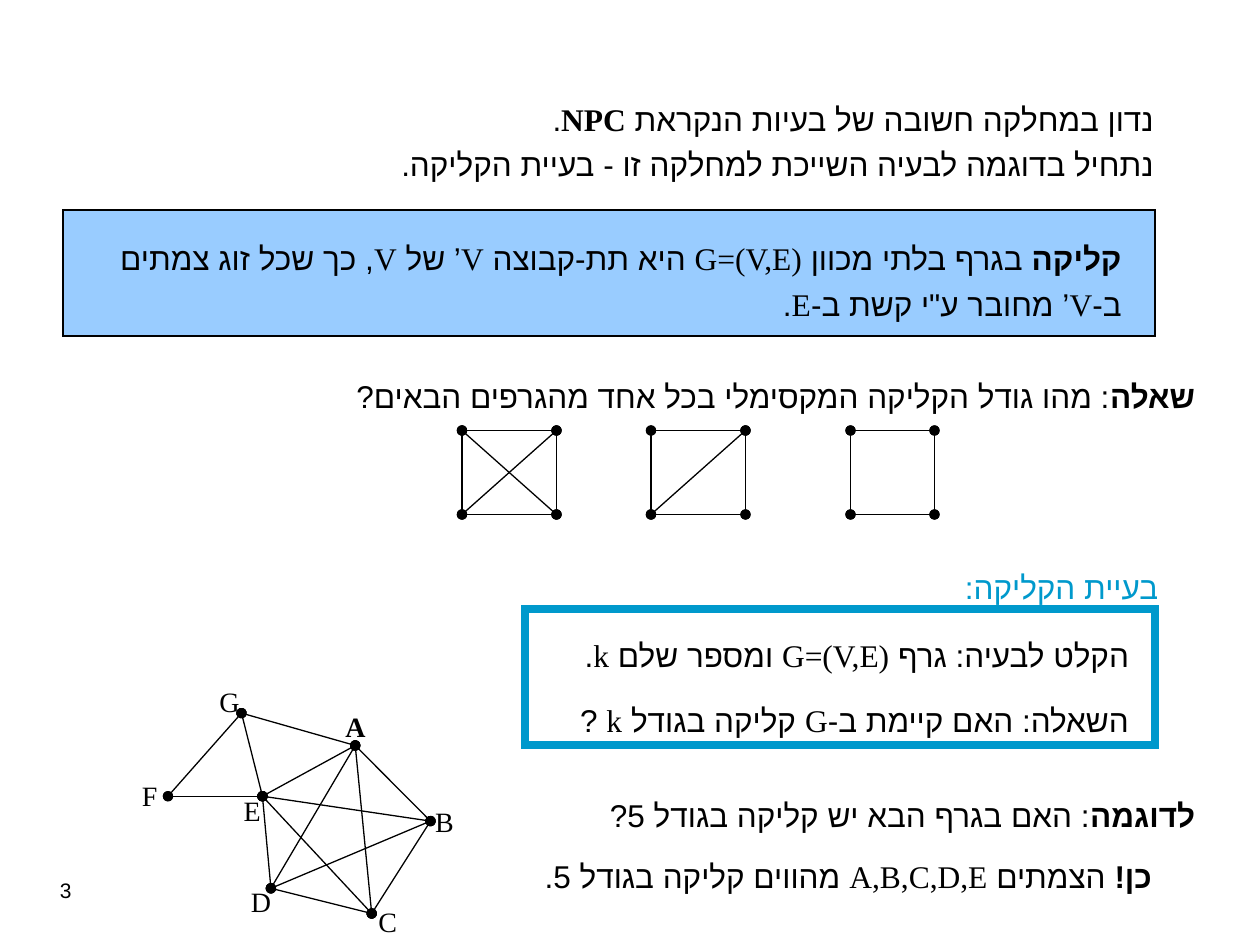
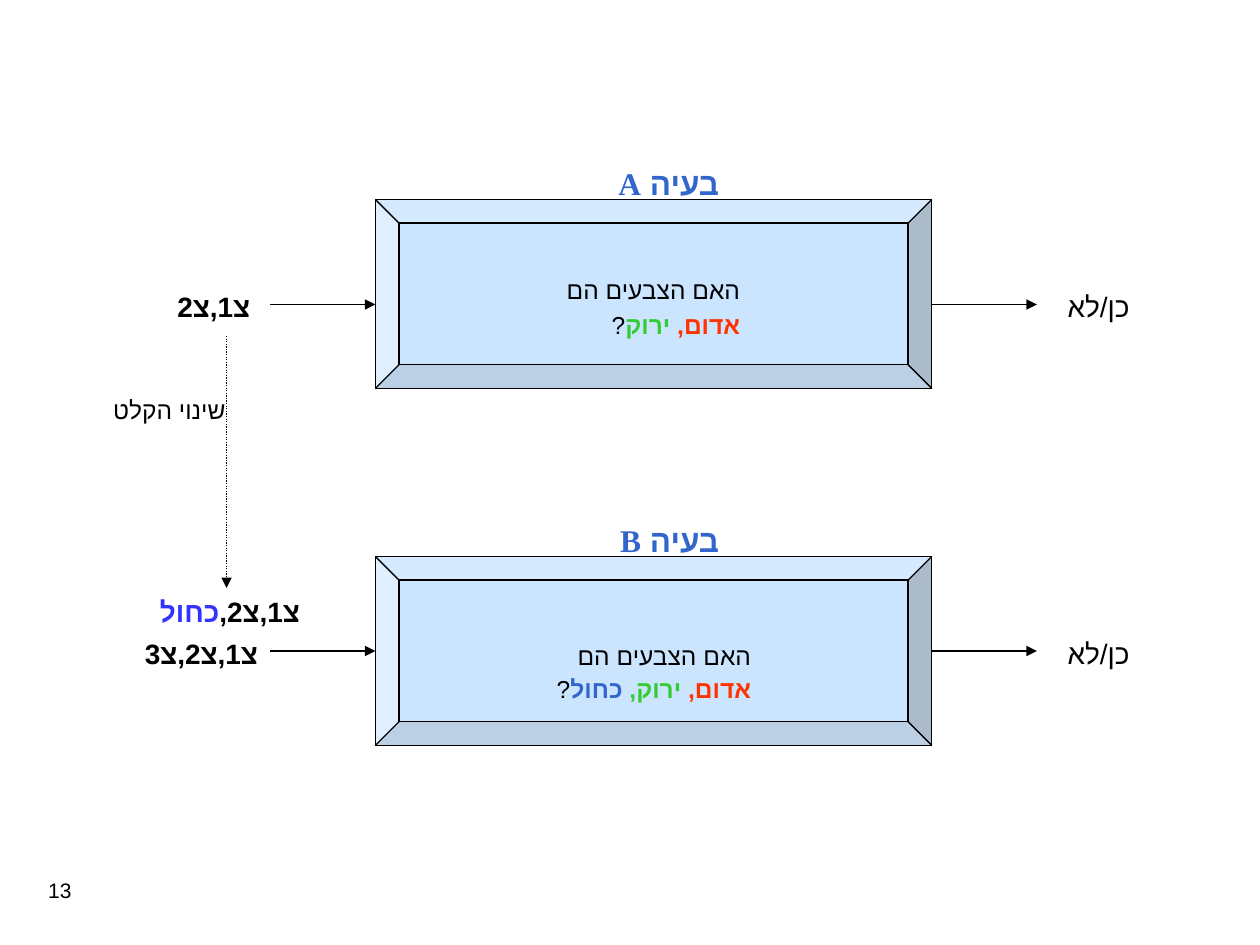
"""Two slides on the clique problem and on reducing one problem to another."""
import itertools
from dataclasses import dataclass
from typing import Optional

import lxml.etree
import pptx
import pptx.dml.color
import pptx.enum.dml
import pptx.enum.shapes
import pptx.enum.text
import pptx.oxml.ns
import pptx.slide
import pptx.util

Pt = pptx.util.Pt
qn = pptx.oxml.ns.qn
SHAPES = pptx.enum.shapes.MSO_SHAPE
ALIGN = pptx.enum.text.PP_ALIGN


@dataclass(frozen=True)
class Theme:
    ink: str = "000000"
    panel: str = "99CCFF"
    accent: str = "0099CC"
    heading: str = "3366CC"
    red: str = "FF3300"
    green: str = "33CC33"
    blue: str = "3333FF"
    latin: str = "Times New Roman"
    sans: str = "Arial"
    body: float = 18
    label: float = 16
    small: float = 14
    number: float = 12
    hairline: float = 0.75
    frame: float = 4.5


THEME = Theme()


@dataclass(frozen=True)
class Span:
    text: str
    bold: bool = False
    color: str = THEME.ink


@dataclass(frozen=True)
class TextBox:
    left: float
    top: float
    width: float
    height: float
    paras: tuple[tuple[Span, ...], ...]
    size: float = THEME.body
    spacing: Optional[float] = None
    gap: float = 0
    grow: bool = True
    rtl: bool = True
    align: ALIGN = ALIGN.RIGHT
    font: str = THEME.latin


@dataclass(frozen=True)
class Panel:
    left: float
    top: float
    width: float
    height: float
    kind: SHAPES = SHAPES.RECTANGLE
    fill: Optional[str] = None
    opacity: int = 100
    line: str = THEME.ink
    weight: float = THEME.hairline


@dataclass(frozen=True)
class SquareGraph:
    left: float
    width: float
    diagonals: tuple[str, ...] = ()


@dataclass(frozen=True)
class Stage:
    """One problem with its input arrow, bevelled box and answer arrow."""
    name: str
    box_top: float
    arrow_y: float
    question: TextBox
    given: TextBox


Point = tuple[float, float]


def rgb(color: str) -> pptx.dml.color.RGBColor:
    return pptx.dml.color.RGBColor.from_string(color)


def one(text: str, bold: bool = False, color: str = THEME.ink) -> tuple[tuple[Span, ...], ...]:
    """A single paragraph made of a single span."""
    return ((Span(text, bold, color),),)


def write_para(para, spans: tuple[Span, ...], item: TextBox) -> None:
    para.alignment = item.align
    if item.rtl:
        para._p.get_or_add_pPr().set("rtl", "1")
    if item.spacing:
        para.line_spacing = item.spacing
    para.font.name, para.font.size = item.font, Pt(item.size)
    same_bold = len({span.bold for span in spans}) == 1
    same_color = len({span.color for span in spans}) == 1
    if same_bold:
        para.font.bold = spans[0].bold
    if same_color:
        para.font.color.rgb = rgb(spans[0].color)
    # Hebrew letters take the complex-script font
    defaults = para._p.pPr.find(qn("a:defRPr"))
    lxml.etree.SubElement(defaults, qn("a:cs"), typeface=THEME.sans)
    for span in spans:
        run = para.add_run()
        run.text = span.text
        if not same_bold:
            run.font.bold = span.bold
        if not same_color:
            run.font.color.rgb = rgb(span.color)


def draw_text(page: pptx.slide.Slide, item: TextBox) -> None:
    box = page.shapes.add_textbox(Pt(item.left), Pt(item.top), Pt(item.width), Pt(item.height))
    frame = box.text_frame
    frame.word_wrap = True
    sizes = pptx.enum.text.MSO_AUTO_SIZE
    frame.auto_size = sizes.SHAPE_TO_FIT_TEXT if item.grow else sizes.NONE
    for index, spans in enumerate(item.paras):
        para = frame.add_paragraph() if index else frame.paragraphs[0]
        if index and item.gap:
            para.space_before = Pt(item.gap)
        write_para(para, spans, item)


def draw_panel(page: pptx.slide.Slide, item: Panel) -> None:
    shape = page.shapes.add_shape(item.kind, Pt(item.left), Pt(item.top),
                                  Pt(item.width), Pt(item.height))
    shape.shadow.inherit = False
    shape.line.color.rgb = rgb(item.line)
    shape.line.width = Pt(item.weight)
    # Square outline corners
    outline = shape._element.spPr.find(qn("a:ln"))
    lxml.etree.SubElement(outline, qn("a:miter"), lim="800000")
    if item.fill is None:
        shape.fill.background()
        return
    shape.fill.solid()
    shape.fill.fore_color.rgb = rgb(item.fill)
    if item.opacity < 100:
        color = shape._element.spPr.find(qn("a:solidFill"))[0]
        lxml.etree.SubElement(color, qn("a:alpha"), val=str(item.opacity * 1000))


def draw_line(page: pptx.slide.Slide, start: Point, end: Point, head: str = "none",
              tail: str = "triangle", dotted: bool = False) -> None:
    line = page.shapes.add_connector(pptx.enum.shapes.MSO_CONNECTOR.STRAIGHT,
                                     *(Pt(value) for value in start + end))
    line.line.color.rgb = rgb(THEME.ink)
    line.line.width = Pt(THEME.hairline)
    if dotted:
        line.line.dash_style = pptx.enum.dml.MSO_LINE.ROUND_DOT
    properties = line._element.spPr
    outline = properties.find(qn("a:ln"))
    lxml.etree.SubElement(outline, qn("a:headEnd"), type=head)
    lxml.etree.SubElement(outline, qn("a:tailEnd"), type=tail)
    lxml.etree.SubElement(properties, qn("a:effectLst"))


def draw_graph(page: pptx.slide.Slide, vertices: dict[str, Point], edges: list[str]) -> None:
    for start, end in edges:
        draw_line(page, vertices[start], vertices[end], "oval", "oval")


def draw_square(page: pptx.slide.Slide, square: SquareGraph) -> None:
    top, bottom = 246, 294
    right = square.left + square.width
    corners = {"a": (square.left, top), "b": (right, top),
               "c": (right, bottom), "d": (square.left, bottom)}
    draw_graph(page, corners, ["ab", "bc", "cd", "da", *square.diagonals])


def draw_stage(page: pptx.slide.Slide, stage: Stage) -> None:
    left, width, reach = 214.5, 318, 60
    right = left + width
    y = stage.arrow_y
    draw_line(page, (left - reach, y), (left, y))
    draw_line(page, (right, y), (right + reach, y))
    draw_panel(page, Panel(left, stage.box_top, width, 108, SHAPES.BEVEL, THEME.panel, 50))
    draw_text(page, TextBox(328, stage.box_top - 24, 90, 29,
                            one(stage.name, True, THEME.heading)))
    draw_text(page, stage.question)
    draw_text(page, stage.given)
    draw_text(page, TextBox(right + reach, y - 12, 60, 26.5, one("כן/לא"), THEME.label))


def add_page(deck, number: str) -> pptx.slide.Slide:
    page = deck.slides.add_slide(deck.slide_layouts[6])
    draw_text(page, TextBox(0, 498, 48, 36, one(number), THEME.number,
                            grow=False, rtl=False, font=THEME.sans))
    return page


CLIQUE_PANELS = (
    Panel(36, 120, 624, 72, fill=THEME.panel),
    Panel(300, 348, 360, 78, line=THEME.accent, weight=THEME.frame),
)

CLIQUE_TEXTS = (
    TextBox(18.7, 49, 648, 59, (
        (Span("נדון במחלקה חשובה של בעיות הנקראת "), Span("NPC", True), Span(".")),
        (Span("נתחיל בדוגמה לבעיה השייכת למחלקה זו - בעיית הקליקה."),),
    ), spacing=1.2),
    TextBox(48, 129, 600, 59, (
        (Span("קליקה", True),
         Span(" בגרף בלתי מכוון G=(V,E) היא תת-קבוצה V’ של V, "
              "כך שכל זוג צמתים ב-V’ מחובר ע\"י קשת ב-E.")),
    ), spacing=1.2),
    TextBox(170, 211.7, 520, 29, (
        (Span("שאלה", True), Span(": מהו גודל הקליקה המקסימלי בכל אחד מהגרפים הבאים?")),
    )),
    TextBox(519, 321, 150, 29, one("בעיית הקליקה:", color=THEME.accent)),
    TextBox(311, 355.7, 341.3, 96.5, (
        (Span("הקלט לבעיה: גרף G=(V,E) ומספר שלם k."),),
        (Span("השאלה: האם קיימת ב-G קליקה בגודל k ?"),),
    ), spacing=1.2, gap=11.2),
    TextBox(320, 451.4, 370, 29, (
        (Span("לדוגמה", True), Span(": האם בגרף הבא יש קליקה בגודל 5?")),
    )),
    TextBox(275.8, 486, 389.5, 29, (
        (Span("כן! ", True), Span("הצמתים A,B,C,D,E מהווים קליקה בגודל 5.")),
    )),
)

SQUARES = (SquareGraph(486, 48), SquareGraph(372, 54, ("db",)),
           SquareGraph(264, 54, ("ac", "db")))

VERTICES = {"A": (203, 426), "B": (246, 469.2), "C": (212.4, 522), "D": (154.8, 507.6),
            "E": (150, 455), "F": (96, 455), "G": (138, 407.5)}
LABEL_CORNERS = {"A": (198, 402), "B": (248.4, 456), "C": (216, 513.5), "D": (144, 502),
                 "E": (138, 450), "F": (79, 441.5), "G": (126, 387.5)}

RED = Span("אדום, ", True, THEME.red)
STAGES = (
    Stage("בעיה A", 114, 174,
          TextBox(298, 150, 132, 47.5, (
              (Span("האם הצבעים הם "), RED, Span("ירוק", True, THEME.green), Span("?")),
          ), THEME.small, spacing=1.2),
          TextBox(94.3, 162, 60, 26.5, one("צ1,צ2", True), THEME.label,
                  rtl=False, align=ALIGN.LEFT)),
    Stage("בעיה B", 318, 372,
          TextBox(292.3, 360, 144, 46, (
              (Span("האם הצבעים הם "), RED, Span("ירוק, ", True, THEME.green),
               Span("כחול", True, THEME.heading), Span("?")),
          ), THEME.small, spacing=1.15),
          TextBox(70.5, 360, 84, 26.5, one("צ1,צ2,צ3", True), THEME.label)),
)


def build_clique(deck) -> None:
    page = add_page(deck, "3")
    for panel in CLIQUE_PANELS:
        draw_panel(page, panel)
    for text in CLIQUE_TEXTS:
        draw_text(page, text)
    for square in SQUARES:
        draw_square(page, square)
    # Example: the full graph on A to E, with F and G attached
    clique = ["".join(pair) for pair in itertools.combinations("ABCDE", 2)]
    draw_graph(page, VERTICES, clique + ["FE", "FG", "EG", "GA"])
    for name, (left, top) in LABEL_CORNERS.items():
        draw_text(page, TextBox(left, top, 18, 26.5, one(name, name == "A"), THEME.label))


def build_reduction(deck) -> None:
    page = add_page(deck, "13")
    for stage in STAGES:
        draw_stage(page, stage)
    # Change of input from the first problem to the second
    draw_line(page, (129.5, 192), (129.5, 336), dotted=True)
    draw_text(page, TextBox(54, 222, 82, 24.5, one("שינוי הקלט"), THEME.small))
    draw_text(page, TextBox(70.5, 336, 108, 26.5, (
        (Span("צ1,צ2,", True), Span("כחול", True, THEME.blue)),
    ), THEME.label))


def main() -> None:
    deck = pptx.Presentation()
    deck.slide_width, deck.slide_height = Pt(720), Pt(540)
    build_clique(deck)
    build_reduction(deck)
    deck.save("out.pptx")


if __name__ == "__main__":
    main()
